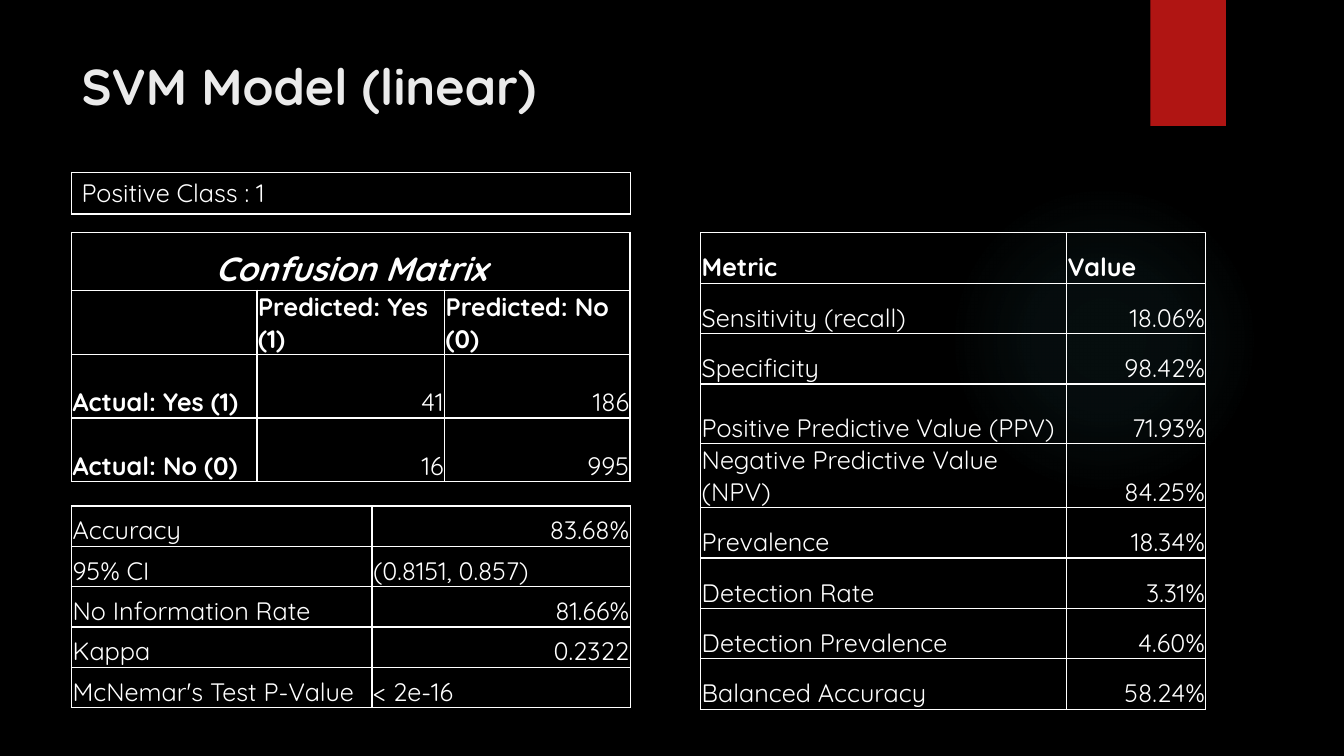
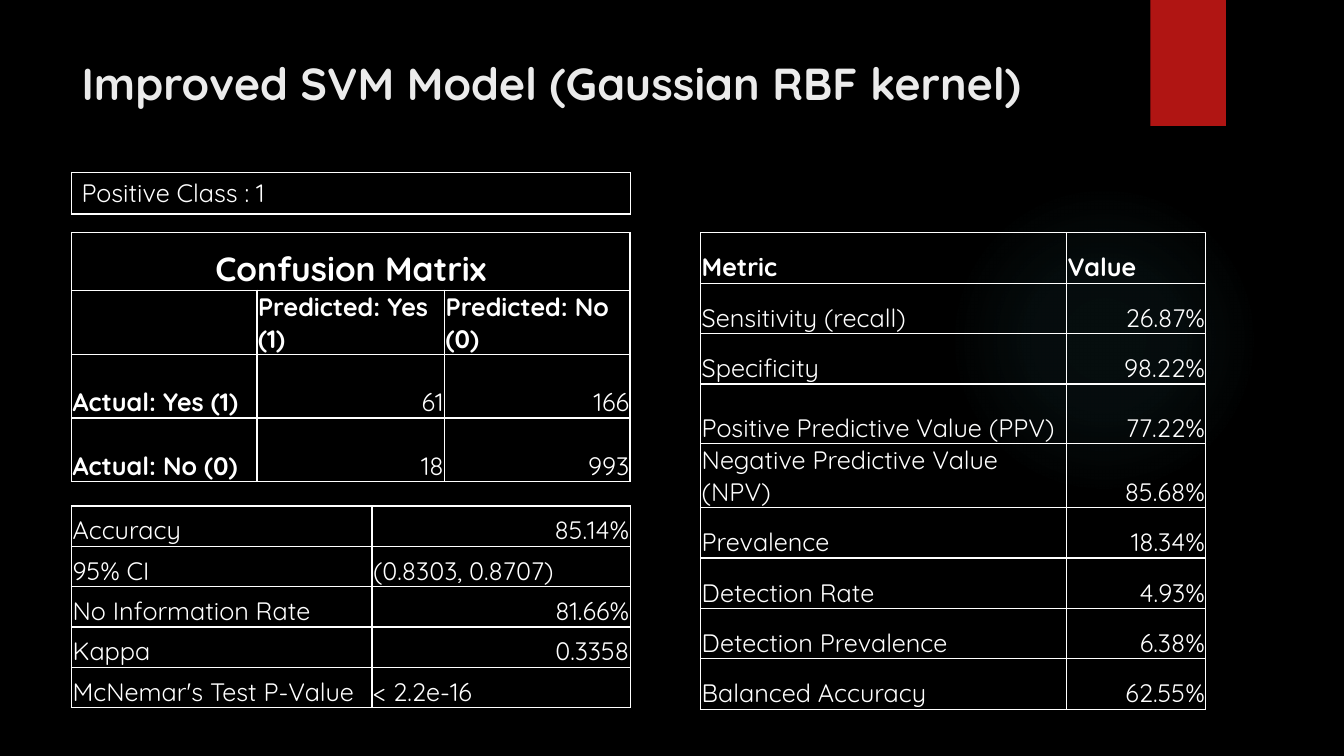
from lxml import etree
from pptx import Presentation
from pptx.dml.color import RGBColor
from pptx.enum.shapes import MSO_SHAPE
from pptx.enum.text import MSO_ANCHOR, MSO_AUTO_SIZE, PP_ALIGN
from pptx.oxml import parse_xml
from pptx.oxml.ns import nsdecls, qn
from pptx.util import Inches, Pt

OVAL, RECT = MSO_SHAPE.OVAL, MSO_SHAPE.RECTANGLE
TOP, BOTTOM = MSO_ANCHOR.TOP, MSO_ANCHOR.BOTTOM
LEFT, CENTER, RIGHT = PP_ALIGN.LEFT, PP_ALIGN.CENTER, PP_ALIGN.RIGHT
NO_FIT = MSO_AUTO_SIZE.NONE

FONT = "Quicksand"
BLACK, WHITE, PALE = "000000", "FFFFFF", "EBEBEB"
RED, TEAL = "B01513", "50B9C1"
GLOW = [(0, 7), (36, 6), (69, 0)]

STATS = ["Accuracy", "95% CI", "No Information Rate", "Kappa",
         "McNemar's Test P-Value"]
METRICS = ["Sensitivity (recall)", "Specificity",
           "Positive Predictive Value (PPV)",
           "Negative Predictive Value (NPV)", "Prevalence",
           "Detection Rate", "Detection Prevalence", "Balanced Accuracy"]

MODELS = [
    dict(title="SVM Model (linear)", size=36, italic=True,
         counts=[("41", "186"), ("16", "995")],
         stats=["83.68%", "(0.8151, 0.857)", "81.66%", "0.2322", "< 2e-16"],
         scores=["18.06%", "98.42%", "71.93%", "84.25%", "18.34%",
                 "3.31%", "4.60%", "58.24%"]),
    dict(title="Improved SVM Model (Gaussian RBF kernel)", size=32,
         italic=False,
         counts=[("61", "166"), ("18", "993")],
         stats=["85.14%", "(0.8303, 0.8707)", "81.66%", "0.3358",
                "< 2.2e-16"],
         scores=["26.87%", "98.22%", "77.22%", "85.68%", "18.34%",
                 "4.93%", "6.38%", "62.55%"]),
]


def color(code):
    return RGBColor.from_string(code)


class Deck:
    def __init__(self):
        self.prs = Presentation()
        self.prs.slide_width = Inches(13.33)
        self.prs.slide_height = Inches(7.5)
        fill = self.prs.slide_master.background.fill
        fill.solid()
        fill.fore_color.rgb = color(BLACK)
        self.slide = None

    def start(self, title, size):
        self.slide = self.prs.slides.add_slide(self.prs.slide_layouts[5])
        self.glow()
        self.band()
        self.title(title, size)

    def shape(self, kind, left, top, width, height):
        shape = self.slide.shapes.add_shape(
            kind, Inches(left), Inches(top), Inches(width), Inches(height))
        shape.shadow.inherit = False
        shape.line.fill.background()
        return shape

    def glow(self):
        oval = self.shape(OVAL, 9.41, 1.83, 3.08, 3.08)
        oval.fill.background()
        stops = "".join(
            f'<a:gs pos="{pos * 1000}"><a:srgbClr val="{TEAL}">'
            f'<a:alpha val="{alpha * 1000}"/></a:srgbClr></a:gs>'
            for pos, alpha in GLOW)
        props = oval._element.spPr
        props.replace(props.find(qn("a:noFill")), parse_xml(
            f'<a:gradFill {nsdecls("a")}><a:gsLst>{stops}</a:gsLst>'
            '<a:path path="circle"><a:fillToRect l="50000" t="50000" '
            'r="50000" b="50000"/></a:path></a:gradFill>'))

    def band(self):
        band = self.shape(RECT, 11.41, 0, 0.75, 1.25)
        band.fill.solid()
        band.fill.fore_color.rgb = color(RED)

    def title(self, text, size):
        title = self.slide.shapes.title
        title.left, title.top = Inches(0.71), Inches(0.5)
        title.width, title.height = Inches(10.29), Inches(1)
        frame = title.text_frame
        frame.word_wrap = True
        frame.auto_size = NO_FIT
        frame.vertical_anchor = TOP
        self.label(frame, text, size, True, LEFT, PALE)

    def label(self, frame, text, size=18, bold=False, align=LEFT, ink=WHITE):
        frame.text = text
        para = frame.paragraphs[0]
        para.alignment = align
        para.font.name = FONT
        para.font.size = Pt(size)
        para.font.bold = bold
        para.font.color.rgb = color(ink)
        return para

    def border(self, cell):
        props = cell._tc.get_or_add_tcPr()
        for side in ("lnL", "lnR", "lnT", "lnB"):
            line = etree.SubElement(props, qn(f"a:{side}"), w=str(Pt(1)))
            fill = etree.SubElement(line, qn("a:solidFill"))
            etree.SubElement(fill, qn("a:srgbClr"), val=WHITE)
        cell.fill.background()

    def tighten(self, cell):
        cell.vertical_anchor = BOTTOM
        cell.margin_left = cell.margin_right = Inches(0.01)
        cell.margin_top, cell.margin_bottom = Inches(0.01), 0

    def table(self, left, top, cols, rows, data, heads=0, side=False,
              tight=True):
        table = self.slide.shapes.add_table(
            len(rows), len(cols), Inches(left), Inches(top),
            Inches(sum(cols)), Inches(sum(rows))).table
        table.first_row = table.horz_banding = False
        for col, width in zip(table.columns, cols):
            col.width = Inches(width)
        for row, height in zip(table.rows, rows):
            row.height = Inches(height)
        for y, line in enumerate(data):
            for x, text in enumerate(line):
                cell = table.cell(y, x)
                self.border(cell)
                if tight:
                    self.tighten(cell)
                bold = y < heads or (side and x == 0)
                align = RIGHT if x and text[:1].isdigit() else LEFT
                self.label(cell.text_frame, text, bold=bold, align=align)
        return table

    def matrix(self, counts, italic):
        data = [("", "", ""),
                ("", "Predicted: Yes (1)", "Predicted: No (0)"),
                ("Actual: Yes (1)", *counts[0]),
                ("Actual: No (0)", *counts[1])]
        table = self.table(0.71, 2.31, [1.84, 1.86, 1.84],
                           [0.57, 0.57, 0.63, 0.63], data, 2, True)
        head = table.cell(0, 0)
        head.merge(table.cell(0, 2))
        para = self.label(head.text_frame, "Confusion Matrix", 24, True,
                          CENTER)
        para.font.italic = italic

    def model(self, title, size, italic, counts, stats, scores):
        self.start(title, size)
        self.matrix(counts, italic)
        self.table(0.71, 5.02, [2.98, 2.56], [0.4] * 5, zip(STATS, stats))
        self.table(6.95, 2.31, [3.63, 1.38],
                   [0.5] * 3 + [0.59] * 2 + [0.5] * 4,
                   [("Metric", "Value"), *zip(METRICS, scores)], 1)
        self.table(0.71, 1.71, [5.54], [0.41], [("Positive Class : 1",)],
                   tight=False)


def main():
    deck = Deck()
    for model in MODELS:
        deck.model(**model)
    deck.prs.save("out.pptx")


if __name__ == "__main__":
    main()
